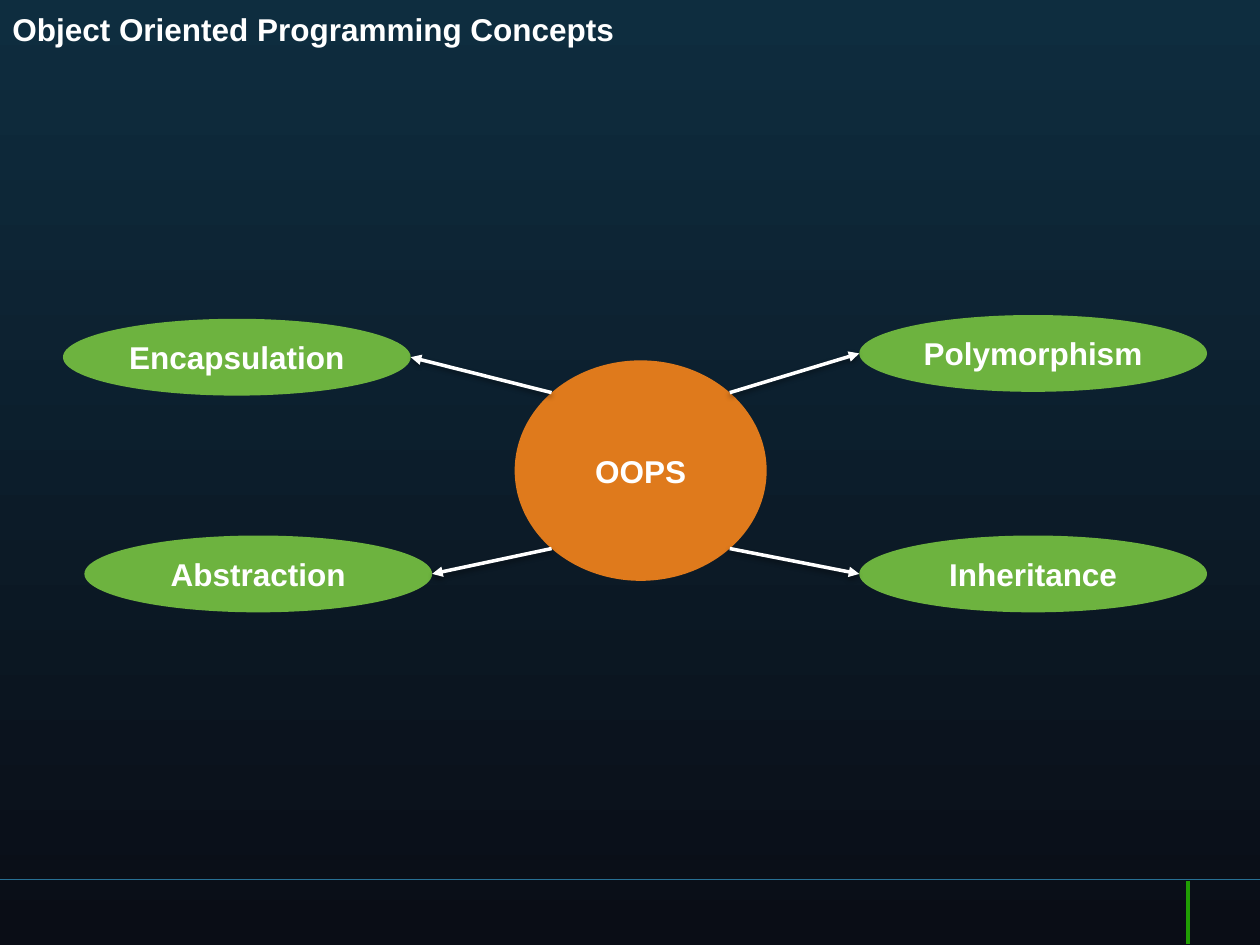
from dataclasses import dataclass
from math import sqrt

from lxml.etree import SubElement
from pptx import Presentation
from pptx.dml.color import RGBColor
from pptx.enum.shapes import MSO_CONNECTOR, MSO_SHAPE
from pptx.enum.text import MSO_ANCHOR, PP_ALIGN
from pptx.oxml.ns import qn
from pptx.util import Inches, Pt


@dataclass(frozen=True)
class Theme:
    font: str = "Arial"
    size: int = 18
    text: str = "FFFFFF"
    bg_top: str = "0E2D3F"
    bg_bottom: str = "0A0D16"
    hub: str = "DF7A1C"
    topic: str = "6DB33F"
    arrow: str = "FFFFFF"
    rule: str = "287094"
    tick: str = "209D03"


THEME = Theme()
COLS, ROWS = 100, 75
CELL = Inches(0.1)
HUB = (40.85, 28.6, 20, 17.5)
TOPIC_W, TOPIC_H = 27.6, 6.1
TOPICS = [  # name, column, row, side of the hub (x, y)
    ("Polymorphism", 68.2, 25, 1, -1),
    ("Inheritance", 68.2, 42.5, 1, 1),
    ("Abstraction", 6.7, 42.5, -1, 1),
    ("Encapsulation", 5, 25.3, -1, -1),
]


def grid(*cells):
    return [round(c * CELL) for c in cells]


def rgb(value):
    return RGBColor.from_string(value)


def paint_background(s):
    fill = s.background.fill
    fill.gradient()
    fill.gradient_angle = 270
    for stop, color in zip(fill.gradient_stops, (THEME.bg_top, THEME.bg_bottom)):
        stop.color.rgb = rgb(color)


def write(sp, text, align, anchor):
    tf = sp.text_frame
    for name, value in {"word_wrap": True, "vertical_anchor": anchor}.items():
        setattr(tf, name, value)
    p = tf.paragraphs[0]
    p.alignment = align
    r = p.add_run()
    r.text = text
    for name, value in {"name": THEME.font, "size": Pt(THEME.size), "bold": True}.items():
        setattr(r.font, name, value)
    r.font.color.rgb = rgb(THEME.text)


def add_title(s, text):
    sp = s.shapes.add_textbox(*grid(0, 0.3, 75, 5.8))
    write(sp, text, PP_ALIGN.LEFT, MSO_ANCHOR.TOP)


def add_ellipse(s, text, box, color):
    sp = s.shapes.add_shape(MSO_SHAPE.OVAL, *grid(*box))
    sp.shadow.inherit = False
    sp.fill.solid()
    sp.fill.fore_color.rgb = rgb(color)
    sp.line.fill.background()
    write(sp, text, PP_ALIGN.CENTER, MSO_ANCHOR.MIDDLE)


def add_line(s, start, end, color, width):
    """Draw a straight line and return it with its empty effect list."""
    line = s.shapes.add_connector(MSO_CONNECTOR.STRAIGHT, *grid(*start, *end))
    line.line.color.rgb = rgb(color)
    line.line.width = Pt(width)
    return line, SubElement(line.element.spPr, qn("a:effectLst"))


def add_arrow(s, start, end):
    line, effects = add_line(s, start, end, THEME.arrow, 2)
    SubElement(line.get_or_add_ln(), qn("a:tailEnd"), type="triangle")
    shadow = SubElement(effects, qn("a:outerShdw"), blurRad=str(Pt(3.1)),
                        dist=str(Pt(1.6)), dir="5400000", rotWithShape="0")
    color = SubElement(shadow, qn("a:srgbClr"), val="000000")
    SubElement(color, qn("a:alpha"), val="38000")


def hub_corner(side_x, side_y):
    """Point on the hub's outline at 45 degrees towards the given side."""
    left, top, w, h = HUB
    return (left + w / 2 * (1 + side_x / sqrt(2)),
            top + h / 2 * (1 + side_y / sqrt(2)))


def main():
    prs = Presentation()
    prs.slide_width, prs.slide_height = grid(COLS, ROWS)
    s = prs.slides.add_slide(prs.slide_layouts[6])
    paint_background(s)
    add_line(s, (COLS, 69.8), (0, 69.8), THEME.rule, 0.75)
    add_line(s, (94.3, 69.9), (94.3, 74.9), THEME.tick, 2)
    add_title(s, "Object Oriented Programming Concepts")
    add_ellipse(s, "OOPS", HUB, THEME.hub)
    for name, col, row, side_x, side_y in TOPICS:
        add_ellipse(s, name, (col, row, TOPIC_W, TOPIC_H), THEME.topic)
        near_edge = col if side_x > 0 else col + TOPIC_W
        add_arrow(s, hub_corner(side_x, side_y), (near_edge, row + TOPIC_H / 2))
    prs.save("out.pptx")


if __name__ == "__main__":
    main()
